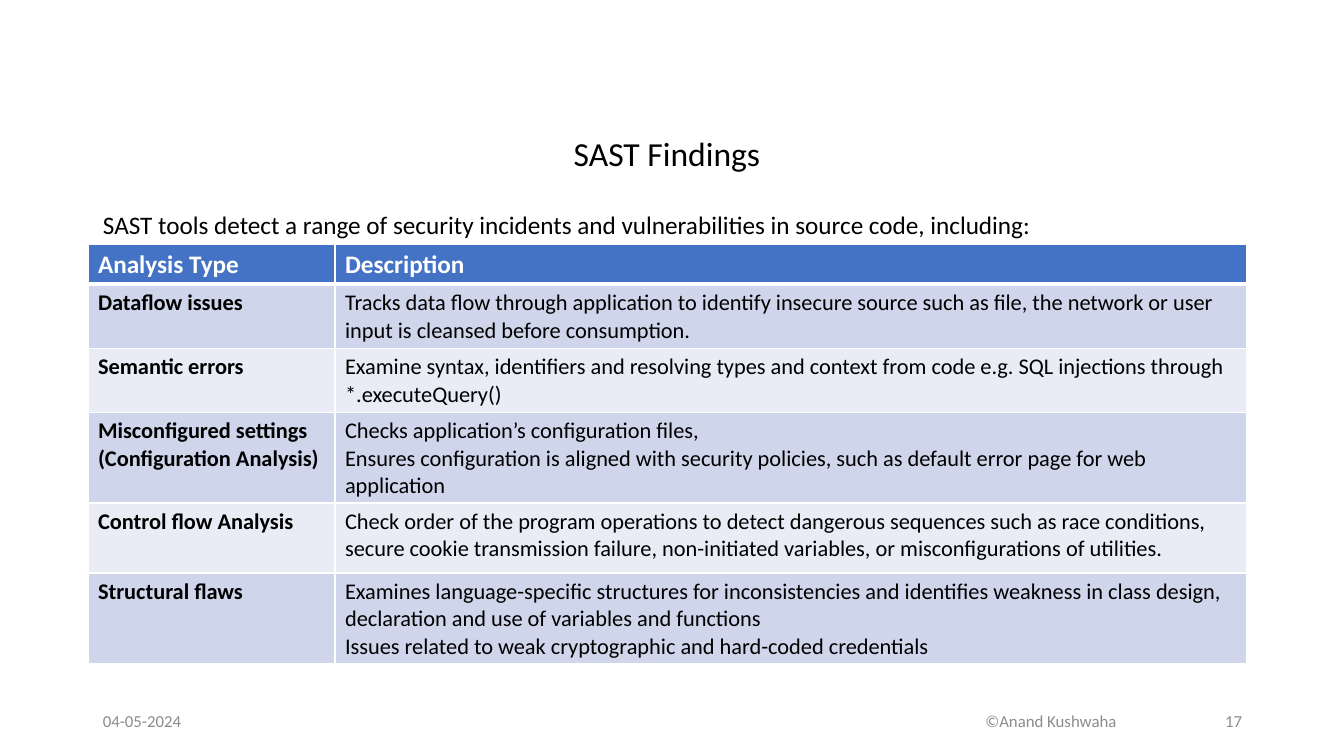
from dataclasses import dataclass

from lxml.etree import SubElement
from pptx import Presentation
from pptx.dml.color import RGBColor
from pptx.enum.text import MSO_ANCHOR as Anchor, MSO_AUTO_SIZE as AutoSize, PP_ALIGN as Align
from pptx.oxml.ns import qn
from pptx.util import Pt

PX = 914400 / 100.8


@dataclass(frozen=True)
class Theme:
    font: str = "Calibri"
    ink: str = "000000"
    paper: str = "FFFFFF"
    muted: str = "8C8C8C"
    header: str = "4472C4"
    bands: tuple = ("CFD5EA", "E9EBF5")
    title: int = 24
    lead: int = 18
    body: int = 16
    footer: int = 12


THEME = Theme()

FINDINGS = [
    (("Dataflow issues",),
     ("Tracks data flow through application to identify insecure source such as file, "
      "the network or user input is cleansed before consumption.",), 64),
    (("Semantic errors",),
     ("Examine syntax, identifiers and resolving types and context from code "
      "e.g. SQL injections through *.executeQuery()",), 64),
    (("Misconfigured settings", "(Configuration Analysis)"),
     ("Checks application’s configuration files,",
      "Ensures configuration is aligned with security policies, "
      "such as default error page for web application"), 90),
    (("Control flow Analysis",),
     ("Check order of the program operations to detect dangerous sequences such as "
      "race conditions, secure cookie transmission failure, non-initiated variables, "
      "or misconfigurations of utilities.",), 70),
    (("Structural flaws",),
     ("Examines language-specific structures for inconsistencies and identifies weakness "
      "in class design, declaration and use of variables and functions",
      "Issues related to weak cryptographic and hard-coded credentials"), 90),
]


def px(n):
    return round(n * PX)


def add_run(p, text, size, color, bold=False):
    r = p.add_run()
    r.text = text
    r.font.name = THEME.font
    r.font.size = Pt(size)
    r.font.bold = bold
    r.font.color.rgb = RGBColor.from_string(color)


def set_title(s, text, x, y, w, h):
    sp = s.shapes.title
    sp.left, sp.top, sp.width, sp.height = map(px, (x, y, w, h))
    tf = sp.text_frame
    tf.auto_size = AutoSize.NONE
    tf.vertical_anchor = Anchor.BOTTOM
    p = tf.paragraphs[0]
    p.alignment = Align.CENTER
    p.line_spacing = 0.9
    add_run(p, text, THEME.title, THEME.ink)


def add_text(s, text, x, y, w, h, size, color, align=Align.LEFT, anchor=Anchor.MIDDLE):
    tf = s.shapes.add_textbox(*map(px, (x, y, w, h))).text_frame
    tf.word_wrap = True
    tf.vertical_anchor = anchor
    p = tf.paragraphs[0]
    p.alignment = align
    add_run(p, text, size, color)


def set_borders(cell, bottom):
    tcPr = cell._tc.get_or_add_tcPr()
    for side, width in (("L", 1), ("R", 1), ("T", 1), ("B", bottom)):
        ln = SubElement(tcPr, qn(f"a:ln{side}"), w=str(Pt(width)))
        fill = SubElement(ln, qn("a:solidFill"))
        SubElement(fill, qn("a:srgbClr"), val=THEME.paper)


def fill_cell(cell, lines, size, color, fill, bold, bottom=1):
    set_borders(cell, bottom)
    cell.fill.solid()
    cell.fill.fore_color.rgb = RGBColor.from_string(fill)
    p = cell.text_frame.paragraphs[0]
    for i, line in enumerate(lines):
        if i:
            p.add_line_break()
        add_run(p, line, size, color, bold)


def add_findings_table(s, x, y, widths, header_height):
    heights = [header_height] + [height for _, _, height in FINDINGS]
    frame = s.shapes.add_table(len(heights), len(widths),
                               *map(px, (x, y, sum(widths), sum(heights))))
    table = frame.table
    for col, width in zip(table.columns, widths):
        col.width = px(width)
    for row, height in zip(table.rows, heights):
        row.height = px(height)
    for c, heading in enumerate(("Analysis Type", "Description")):
        fill_cell(table.cell(0, c), (heading,), THEME.lead, THEME.paper,
                  THEME.header, True, bottom=3)
    for i, (kind, description, _) in enumerate(FINDINGS):
        band = THEME.bands[i % 2]
        for c, lines in enumerate((kind, description)):
            fill_cell(table.cell(i + 1, c), lines, THEME.body, THEME.ink, band, c == 0)


def main():
    prs = Presentation()
    prs.slide_width, prs.slide_height = px(1344), px(756)
    s = prs.slides.add_slide(prs.slide_layouts[5])
    set_title(s, "SAST Findings", 168, 124, 998, 55)
    footers = (
        ("04-05-2024", 93, 302, Align.LEFT),
        ("©Anand Kushwaha", 824, 454, Align.CENTER),
        ("17", 950, 302, Align.RIGHT),
    )
    for text, x, w, align in footers:
        add_text(s, text, x, 701, w, 40, THEME.footer, THEME.muted, align)
    add_text(s, "SAST tools detect a range of security incidents and vulnerabilities "
             "in source code, including:", 93, 204, 1123, 40,
             THEME.lead, THEME.ink, anchor=Anchor.TOP)
    add_findings_table(s, 88, 244, (247, 912), 40)
    prs.save("out.pptx")


if __name__ == "__main__":
    main()
